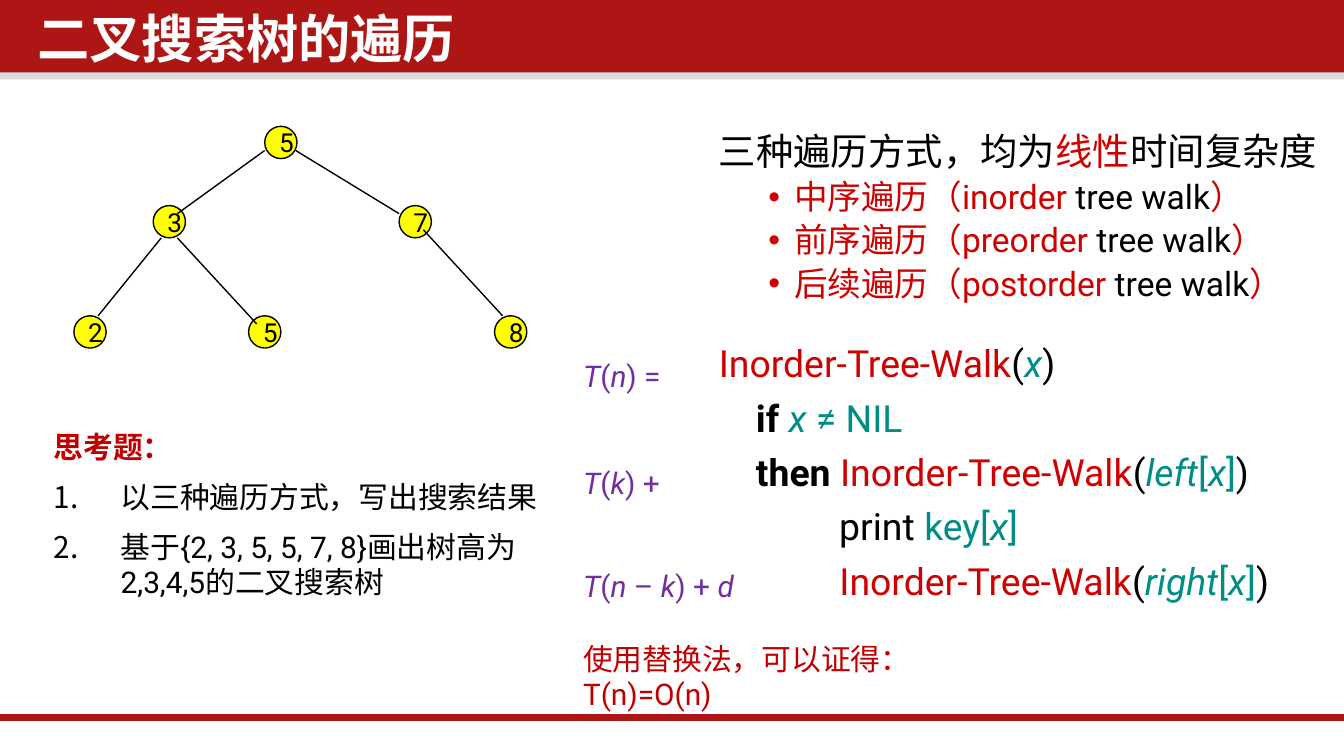
from lxml import etree
from pptx import Presentation
from pptx.dml.color import RGBColor
from pptx.enum.shapes import MSO_CONNECTOR as CONNECTOR, MSO_SHAPE as SHAPE
from pptx.enum.text import MSO_ANCHOR as ANCHOR, PP_ALIGN as ALIGN
from pptx.oxml.ns import qn
from pptx.util import Inches, Pt

BLACK, WHITE, YELLOW = "000000", "FFFFFF", "FFFF00"
BANNER, RED, DARK_RED = "AE1616", "CE0000", "C00000"
TEAL, PURPLE, GREY = "008C87", "7030A0", "D9D9D9"

rgb = RGBColor.from_string


def write(frame, rows, spacing=1.0):
    for index, (size, before, bullet, pieces) in enumerate(rows):
        paragraph = frame.paragraphs[0] if index == 0 else frame.add_paragraph()
        paragraph.line_spacing = spacing
        paragraph.space_before = Pt(before)
        if bullet:
            margin, indent, face, tag, key, value = bullet
            props = paragraph._p.get_or_add_pPr()
            props.set("marL", str(Inches(margin)))
            props.set("indent", str(Inches(indent)))
            etree.SubElement(props, qn("a:buFont")).set("typeface", face)
            etree.SubElement(props, qn(tag)).set(key, value)
        paragraph.font.name = "Roboto"
        paragraph.font.size = Pt(size)
        for text, color, style in pieces:
            if text == "\n":
                paragraph.add_line_break()
                continue
            run = paragraph.add_run()
            run.text = text
            run.font.color.rgb = rgb(color)
            if "b" in style:
                run.font.bold = True
            if "i" in style:
                run.font.italic = True


def connect(start, end, color, width):
    line = slide.shapes.add_connector(CONNECTOR.STRAIGHT, *map(Inches, start + end))
    line.line.color.rgb = rgb(color)
    line.line.width = Pt(width)
    etree.SubElement(line._element.spPr, qn("a:effectLst"))


deck = Presentation()
deck.slide_width = Inches(10)
deck.slide_height = Inches(10 * 9 / 16)
slide = deck.slides.add_slide(deck.slide_layouts[6])

for top, height, color in [(0.5, 0.09, GREY), (0, 0.54, BANNER)]:
    band = slide.shapes.add_shape(SHAPE.RECTANGLE, 0, Inches(top), Inches(10), Inches(height))
    band.shadow.inherit = False
    band.fill.solid()
    band.fill.fore_color.rgb = rgb(color)
    band.line.fill.background()
connect((0, 5.34), (10, 5.34), BANNER, 4)

title = slide.shapes.add_textbox(Inches(0.21), Inches(0.06), Inches(7.64), Inches(0.59)).text_frame
title.word_wrap = True
title.margin_left = title.margin_right = Inches(0.07)
title.margin_top = title.margin_bottom = Inches(0.04)
heading = title.paragraphs[0]
heading.text = "二叉搜索树的遍历"
heading.line_spacing = 0.9
heading.font.name = "Noto Sans CJK SC"
heading.font.size = Pt(28)
heading.font.bold = True
heading.font.color.rgb = rgb(WHITE)

tree_nodes = [("5", 1.97, 0.94), ("3", 1.14, 1.53), ("7", 2.97, 1.53),
              ("2", 0.55, 2.35), ("5", 1.85, 2.35), ("8", 3.68, 2.35)]
for key, left, top in tree_nodes:
    node = slide.shapes.add_shape(SHAPE.OVAL, Inches(left), Inches(top), Inches(0.24), Inches(0.24))
    node.shadow.inherit = False
    node.fill.solid()
    node.fill.fore_color.rgb = rgb(YELLOW)
    node.line.color.rgb = rgb(BLACK)
    node.line.width = Pt(0.75)
    label = node.text_frame
    label.word_wrap = False
    label.vertical_anchor = ANCHOR.MIDDLE
    label.paragraphs[0].alignment = ALIGN.LEFT
    write(label, [(14, 0, None, [(key, BLACK, "")])])

tree_edges = [((1.97, 1.12), (1.32, 1.59)), ((2.2, 1.12), (2.97, 1.59)),
              ((1.2, 1.77), (0.73, 2.35)), ((1.32, 1.77), (1.91, 2.41)),
              ((3.15, 1.71), (3.74, 2.35))]
for start, end in tree_edges:
    connect(start, end, BLACK, 0.75)

walks = slide.shapes.add_textbox(Inches(5.25), Inches(0.94), Inches(4.7), Inches(3.85)).text_frame
walks.word_wrap = True
dot = (0.56, -0.19, "Arial", "a:buChar", "char", "•")
walk_rows = [(20, 0, None, [("三种遍历方式，均为", BLACK, ""), ("线性", RED, ""),
                            ("时间复杂度", BLACK, "")])]
for name in ["中序遍历（inorder", "前序遍历（preorder", "后续遍历（postorder"]:
    walk_rows.append((18, 3.8, dot, [(name, RED, ""), (" tree walk", BLACK, ""), ("）", RED, "")]))

call = [("Inorder-Tree-Walk", RED, ""), ("(", BLACK, "")]
subscript = [("[", TEAL, ""), ("x", TEAL, "i"), ("]", TEAL, "")]
close = [(")", BLACK, "")]
code_lines = [
    call + [("x", TEAL, "i")] + close,
    [("    if ", BLACK, "b"), ("x ", TEAL, "i"), ("≠ NIL", TEAL, "")],
    [("    then ", BLACK, "b")] + call + [("left", TEAL, "i")] + subscript + close,
    [("             print ", BLACK, ""), ("key", TEAL, "")] + subscript,
    [("             ", BLACK, "")] + call + [("right", TEAL, "i")] + subscript + close,
]
for index, pieces in enumerate(code_lines):
    walk_rows.append((20, 7.5 if index else 22.5, None, pieces))
write(walks, walk_rows, 0.9)

costs = slide.shapes.add_textbox(Inches(4.24), Inches(2.61), Inches(3.56), Inches(2.49)).text_frame
costs.word_wrap = True
cost_terms = [(0, ["T", "(", "n", ") ="]),
              (38.5, ["T", "(", "k", ") +"]),
              (36, ["T", "(", "n", " – ", "k", ") + ", "d"])]
cost_rows = [(16, before, None, [(part, PURPLE, "i" if part.isalpha() else "") for part in parts])
             for before, parts in cost_terms]
cost_rows.append((16, 19.5, None, [("使用替换法，可以证得：", DARK_RED, ""), ("\n", DARK_RED, ""),
                                   ("T(n)=O(n)", DARK_RED, "")]))
write(costs, cost_rows)

questions = slide.shapes.add_textbox(Inches(0.3), Inches(3.14), Inches(3.94), Inches(1.66)).text_frame
questions.word_wrap = True
number = (0.5, -0.5, "Noto Sans CJK SC", "a:buAutoNum", "type", "arabicPeriod")
write(questions, [
    (16, 0, None, [("思考题：", DARK_RED, "b")]),
    (16, 7.5, number, [("以三种遍历方式，写出搜索结果", BLACK, "")]),
    (16, 7.5, number, [("基于{2, 3, 5, 5, 7, 8}画出树高为2,3,4,5的二叉搜索树", BLACK, "")]),
])

deck.save("out.pptx")
